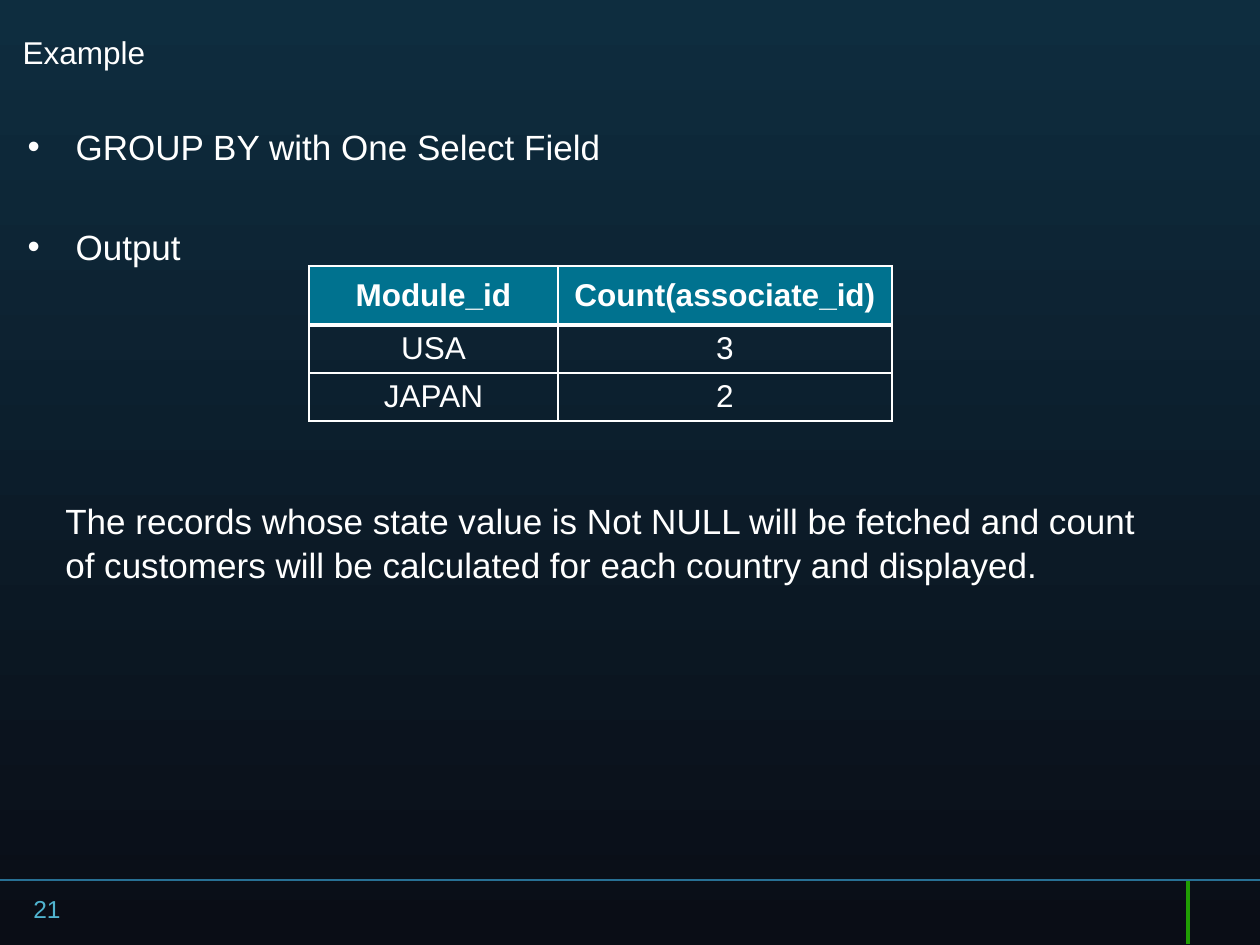
from lxml import etree
from pptx import Presentation, util as u
from pptx.dml.color import RGBColor
from pptx.enum import shapes, text
from pptx.oxml.ns import qn

COLORS = {
    "sky": "0E2D3F",
    "night": "0A0D16",
    "rule": "287094",
    "accent": "209D03",
    "white": "FFFFFF",
    "header": "00728F",
    "number": "50B3CF",
}
FONT = "Arial"
SCALE = 914400 / 126


def px(length):
    return u.Emu(round(length * SCALE))


def rgb(name):
    return RGBColor.from_string(COLORS[name])


def write(paragraph, words, size=20, color="white", bold=False,
          align=text.PP_ALIGN.LEFT, before=0, spacing=1.05, bullet=False):
    paragraph.alignment = align
    paragraph.line_spacing = spacing
    paragraph.space_before = u.Pt(before)
    if bullet:
        props = paragraph._p.get_or_add_pPr()
        props.set("marL", str(px(48)))
        props.set("indent", str(-px(48)))
        etree.SubElement(props, qn("a:buFont"), typeface=FONT)
        etree.SubElement(props, qn("a:buChar"), char="•")
    run = paragraph.add_run()
    run.text = words
    run.font.name = FONT
    run.font.size = u.Pt(size)
    run.font.bold = bold
    run.font.color.rgb = rgb(color)


def place(shape, box):
    shape.left, shape.top, shape.width, shape.height = map(px, box)
    frame = shape.text_frame
    frame.word_wrap = True
    frame.auto_size = text.MSO_AUTO_SIZE.NONE
    frame.vertical_anchor = text.MSO_ANCHOR.TOP
    return frame


def add_text(slide, box, words, **style):
    frame = place(slide.shapes.add_textbox(0, 0, 0, 0), box)
    write(frame.paragraphs[0], words, **style)


def add_rule(slide, start, end, color, width):
    rule = slide.shapes.add_connector(
        shapes.MSO_CONNECTOR.STRAIGHT, *map(px, start + end))
    rule.line.color.rgb = rgb(color)
    rule.line.width = u.Pt(width)
    etree.SubElement(rule._element.spPr, qn("a:effectLst"))


def add_background(slide):
    fill = slide.background.fill
    fill.gradient()
    fill.gradient_angle = 270
    for stop, color in zip(fill.gradient_stops, ("sky", "night")):
        stop.color.rgb = rgb(color)


def add_footer(slide, box, number):
    left, top, width, height = box
    add_rule(slide, (left + width, top), (left, top), "rule", 0.75)
    add_rule(slide, (left + 1188, top + 1), (left + 1188, top + height - 1),
             "accent", 2)
    add_text(slide, (left + 21, top + 6, 63, 38), number,
             size=14, color="number")


def add_title(slide, box, words):
    write(place(slide.shapes.title, box).paragraphs[0], words, size=18)


def add_topics(slide, box, topics):
    frame = place(slide.placeholders[1], box)
    for index, topic in enumerate(topics):
        paragraph = frame.add_paragraph() if index else frame.paragraphs[0]
        write(paragraph, topic, before=32 if index else 0, bullet=True)


def add_borders(cell, widths):
    props = cell._tc.get_or_add_tcPr()
    for side, width in zip("LRTB", widths):
        line = etree.SubElement(props, qn("a:ln" + side), w=str(u.Pt(width)))
        fill = etree.SubElement(line, qn("a:solidFill"))
        etree.SubElement(fill, qn("a:srgbClr"), val=COLORS["white"])


def add_output(slide, box, records, columns, heights):
    table = slide.shapes.add_table(
        len(records), len(columns), *map(px, box)).table
    table.horz_banding = False
    for column, width in zip(table.columns, columns):
        column.width = px(width)
    for index, (row, record) in enumerate(zip(table.rows, records)):
        row.height = px(heights[index])
        header = index == 0
        for cell, value in zip(row.cells, record):
            cell.vertical_anchor = text.MSO_ANCHOR.MIDDLE
            write(cell.text_frame.paragraphs[0], value, size=18, bold=header,
                  align=text.PP_ALIGN.CENTER, spacing=1.0)
            add_borders(cell, (1, 1, 3 if index == 1 else 1, 3 if header else 1))
            if header:
                cell.fill.solid()
                cell.fill.fore_color.rgb = rgb("header")
            else:
                cell.fill.background()


def main():
    deck = Presentation()
    deck.slide_width, deck.slide_height = px(1260), px(945)
    slide = deck.slides.add_slide(deck.slide_layouts[1])
    add_background(slide)
    add_title(slide, (10, 25, 945, 73), "Example")
    add_output(slide, (309, 266, 583, 155),
               [("Module_id", "Count(associate_id)"),
                ("USA", "3"),
                ("JAPAN", "2")],
               columns=(249, 334), heights=(59, 48, 48))
    add_footer(slide, (0, 880, 1260, 65), "21")
    add_topics(slide, (15, 117, 1134, 169),
               ["GROUP BY with One Select Field", "Output"])
    add_text(slide, (53, 491, 1134, 169),
             "The records whose state value is Not NULL will be fetched and "
             "count of customers will be calculated for each country and "
             "displayed.")
    deck.save("out.pptx")


if __name__ == "__main__":
    main()
